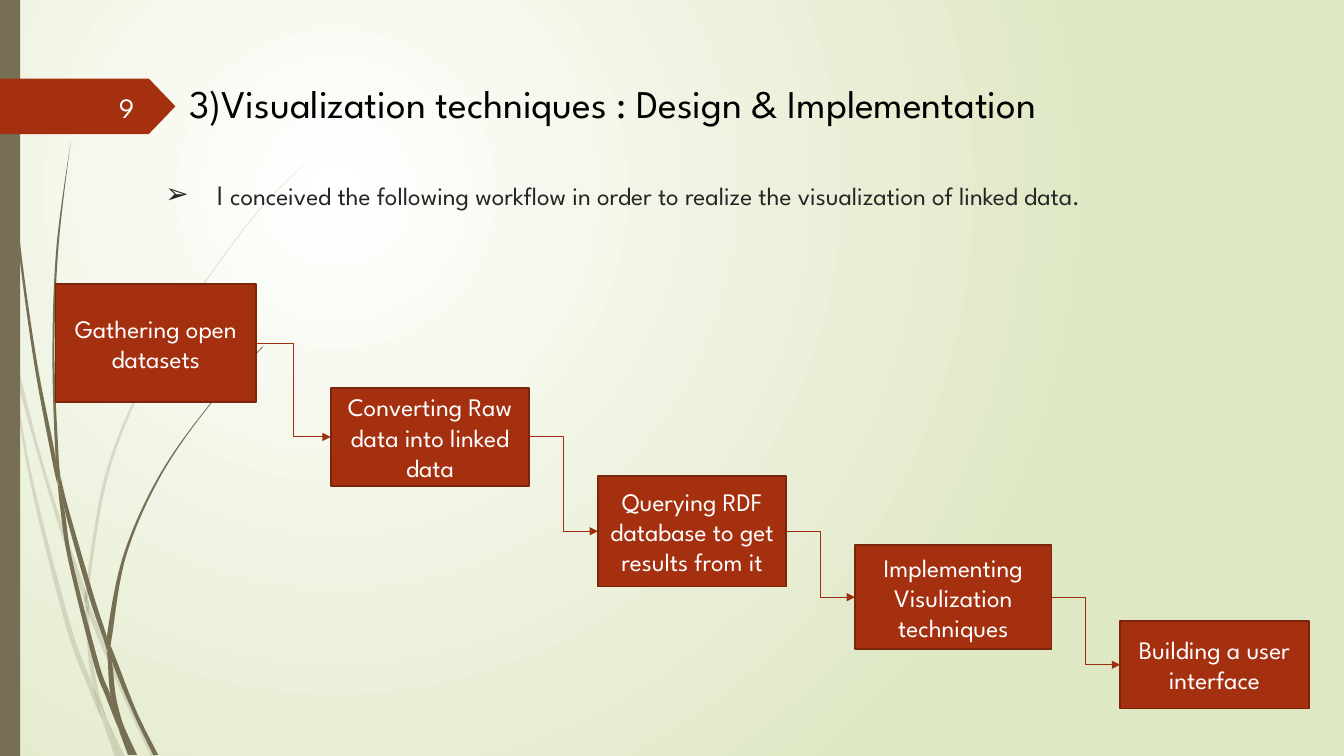
from lxml import etree
from pptx import Presentation
from pptx.dml.color import RGBColor
from pptx.enum.shapes import MSO_CONNECTOR as CONN, MSO_SHAPE as SHAPE
from pptx.enum.text import MSO_ANCHOR as ANCHOR, MSO_AUTO_SIZE as AUTO, PP_ALIGN as ALIGN
from pptx.oxml.ns import qn
from pptx.util import Inches, Pt

FONT = "League Spartan"
OLIVE = RGBColor(0x76, 0x6F, 0x54)
RUST = RGBColor(0xA5, 0x30, 0x10)
RUST_EDGE = RGBColor(0x7A, 0x24, 0x0C)
RUST_LINE = RGBColor(0x9E, 0x2E, 0x0F)
LIME = RGBColor(0xDF, 0xE8, 0xC4)
WHITE = RGBColor(0xFF, 0xFF, 0xFF)
NEAR_WHITE = RGBColor(0xFE, 0xFF, 0xFF)
BLACK = RGBColor(0, 0, 0)
INK = RGBColor(0x26, 0x26, 0x26)


def add_run(p, text, size, color):
    r = p.add_run()
    r.text = text
    r.font.name, r.font.size, r.font.color.rgb = FONT, Pt(size), color


def paint(sp, color, edge=None):
    sp.shadow.inherit = False
    sp.fill.solid()
    sp.fill.fore_color.rgb = color
    if edge is None:
        sp.line.fill.background()
    else:
        sp.line.color.rgb, sp.line.width = edge, Pt(1.25)


prs = Presentation()
prs.slide_width, prs.slide_height = Inches(13.33), Inches(7.5)
slide = prs.slides.add_slide(prs.slide_layouts[1])
shapes = slide.shapes

# Background: white glow fading to lime
bg = slide.background.fill
bg.gradient()
for stop, color in zip(bg.gradient_stops, (WHITE, LIME)):
    stop.color.rgb = color
lin = next(slide.element.iter(qn("a:lin")))
glow = etree.Element(qn("a:path"), path="circle")
etree.SubElement(glow, qn("a:fillToRect"), l="50000", t="50000", r="100000", b="100000")
lin.getparent().replace(lin, glow)

# Grass blades: each piece is rows of (y, left edge, right edge)
PALE_BLADES = [
    [(2.82, 0, 0), (2.99, 0, .04), (3.5, .11, .11)],
    [(3.45, .14, .14), (3.76, .17, .21), (4.5, .37, .4), (5.21, .58, .62),
     (5.86, .8, .85), (5.99, .84, .84)],
    [(5.96, .88, .88), (6.1, .88, .93), (6.93, 1.23, 1.27), (7.51, 1.5, 1.55)],
    [(7.11, 1.05, 1.05), (7.51, 1.19, 1.24)],
    [(3.5, .11, .11), (4.69, .28, .31), (6.2, .65, .7), (6.83, .88, .93), (7.14, 1.01, 1.01)],
    [(5.99, .84, .84), (6.09, .85, .88), (6.46, .87, .91), (6.83, .93, .97), (7.11, 1.05, 1.05)],
    [(1.53, 3.12, 3.12), (1.97, 2.67, 2.68), (2.45, 2.28, 2.29), (3.48, 1.58, 1.6),
     (4.62, 1.07, 1.1), (5.84, .85, .88), (5.96, .88, .88)],
    [(7.14, 1.01, 1.01), (7.51, 1.14, 1.19)],
    [(5.86, .85, .85), (5.97, .84, .88), (6.1, .88, .88)],
    [(6.83, .93, .93), (7.1, 1, 1.05), (7.51, 1.19, 1.19)],
]
DARK_BLADES = [
    [(0, .03, .04), (1.1, .07, .08), (2.33, .17, .19), (3.55, .33, .36),
     (4.53, .51, .55), (4.81, .57, .57)],
    [(4.72, .6, .6), (5.05, .64, .68), (5.91, .88, .93), (6.32, 1.02, 1.06), (6.45, 1.06, 1.06)],
    [(6.41, 1.1, 1.1), (6.56, 1.11, 1.16), (7.07, 1.32, 1.36), (7.49, 1.52, 1.57)],
    [(4.77, .57, .57), (5.06, .6, .64), (5.57, .68, .72), (6.58, .93, .98),
     (6.91, 1.05, 1.1), (7.22, 1.17, 1.17)],
    [(1.41, .7, .7), (2.45, .56, .58), (3.49, .52, .54), (4.5, .55, .58), (4.72, .6, .6)],
    [(7.19, 1.22, 1.22), (7.49, 1.33, 1.36)],
    [(4.49, .55, .55), (4.75, .57, .6), (5.05, .64, .64)],
    [(3.44, 2.6, 2.61), (4.06, 2.04, 2.05), (4.75, 1.56, 1.58), (5.52, 1.22, 1.25),
     (6.32, 1.06, 1.11), (6.41, 1.1, 1.1)],
    [(7.22, 1.17, 1.17), (7.49, 1.27, 1.31)],
    [(6.45, 1.06, 1.06), (6.56, 1.07, 1.11), (6.91, 1.1, 1.15), (7.19, 1.22, 1.22)],
    [(6.31, 1.06, 1.06), (6.43, 1.06, 1.1), (6.56, 1.11, 1.11)],
    [(6.91, 1.1, 1.1), (7.18, 1.16, 1.22), (7.49, 1.3, 1.33)],
]
for rows in PALE_BLADES + DARK_BLADES:
    outline = [(Inches(x), Inches(y)) for y, x, _ in rows]
    outline += [(Inches(x), Inches(y)) for y, _, x in reversed(rows)]
    fb = shapes.build_freeform(*outline[0])
    fb.add_line_segments(outline[1:])
    sp = fb.convert_to_shape()
    paint(sp, OLIVE)
    if rows in PALE_BLADES:
        rgb = next(sp._element.spPr.iter(qn("a:srgbClr")))
        etree.SubElement(rgb, qn("a:alpha"), val="20000")
    # Bend both long edges: Catmull-Rom tangents as cubic curves
    n = len(rows)
    lines = list(sp._element.iter(qn("a:lnTo")))
    local = [(x - sp.left, y - sp.top) for x, y in outline]
    for side in (range(1, n), range(n + 1, 2 * n)):
        first, last = side[0] - 1, side[-1]
        for i in side:
            a, b, c, d = (local[min(max(k, first), last)] for k in range(i - 2, i + 2))
            curve = etree.Element(qn("a:cubicBezTo"))
            for pt in ([q + (s - o) / 6 for o, q, s in zip(a, b, c)],
                       [s - (e - q) / 6 for q, s, e in zip(b, c, d)], c):
                etree.SubElement(curve, qn("a:pt"), x=str(round(pt[0])), y=str(round(pt[1])))
            lines[i - 1].getparent().replace(lines[i - 1], curve)

# Left bar and page ribbon
bar = shapes.add_shape(SHAPE.RECTANGLE, 0, 0, Inches(.2), prs.slide_height)
paint(bar, OLIVE)
ribbon = shapes.add_shape(SHAPE.PENTAGON, 0, Inches(.78), Inches(1.74), Inches(.55))
ribbon.adjustments[0] = .48
paint(ribbon, RUST)

# Title, lead sentence and page number
title, lead = shapes.title, slide.placeholders[1]
number = shapes.add_textbox(0, 0, 0, 0)
TEXTS = [
    (title, (1.78, .74, 10.87, .57), ANCHOR.TOP, ALIGN.LEFT, BLACK,
     [("3)Visualization techniques : Design & Implementation", 28)]),
    (lead, (1.54, 1.71, 10.62, 1.28), ANCHOR.TOP, ALIGN.LEFT, INK,
     [("I ", 20), ("conceived the following workflow in order to realize the "
                   "visualization of linked data.", 18)]),
    (number, (.58, .86, .85, .4), ANCHOR.MIDDLE, ALIGN.RIGHT, NEAR_WHITE, [("9", 20)]),
]
for sp, box, anchor, align, color, runs in TEXTS:
    shapes._spTree.append(sp._element)  # in front of the grass
    sp.left, sp.top, sp.width, sp.height = map(Inches, box)
    tf = sp.text_frame
    tf.word_wrap, tf.auto_size, tf.vertical_anchor = True, AUTO.NONE, anchor
    p = tf.paragraphs[0]
    p.alignment, p.space_before = align, Pt(0)
    for text, size in runs:
        add_run(p, text, size, color)

# Arrow bullet with hanging indent
pPr = lead.text_frame.paragraphs[0]._p.get_or_add_pPr()
pPr.set("marL", str(Inches(.51)))
pPr.set("indent", str(-Inches(.51)))
etree.SubElement(pPr, qn("a:buChar"), char="➢")

# Workflow steps
STEP_BOXES = [
    ("Gathering open datasets", .55, 2.82, 1.99, 1.17),
    ("Converting Raw data into linked data", 3.28, 3.85, 1.97, .97),
    ("Querying RDF database to get results from it", 5.93, 4.72, 1.87, 1.1),
    ("Implementing Visulization techniques", 8.48, 5.41, 1.95, 1.03),
    ("Building a user interface", 11.11, 6.16, 1.87, .87),
]
boxes = []
for text, *box in STEP_BOXES:
    sp = shapes.add_shape(SHAPE.RECTANGLE, *map(Inches, box))
    paint(sp, RUST, RUST_EDGE)
    tf = sp.text_frame
    tf.word_wrap, tf.vertical_anchor = True, ANCHOR.MIDDLE
    p = tf.paragraphs[0]
    p.alignment = ALIGN.CENTER
    add_run(p, text, 18, WHITE)
    boxes.append(sp)

# Elbow arrows from each step's right side to the next one's left side
for a, b in zip(boxes, boxes[1:]):
    link = shapes.add_connector(CONN.ELBOW, 0, 0, 0, 0)
    link.begin_connect(a, 3)
    link.end_connect(b, 1)
    link.line.color.rgb, link.line.width = RUST_LINE, Pt(.75)
    etree.SubElement(link.line._get_or_add_ln(), qn("a:tailEnd"), type="triangle")
    etree.SubElement(link._element.spPr, qn("a:effectLst"))

prs.save("out.pptx")
